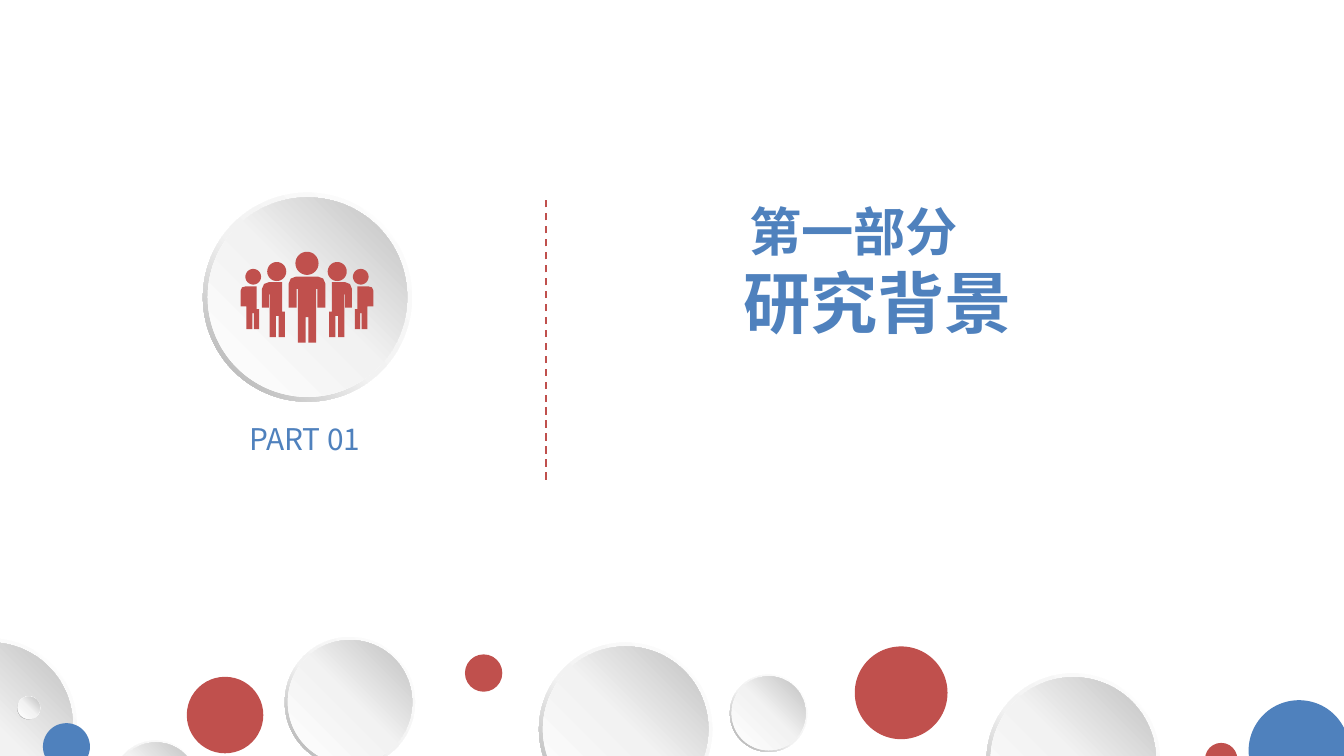
from copy import deepcopy
from dataclasses import dataclass
from math import cos, pi, sin

from pptx import Presentation
from pptx.dml.color import RGBColor
from pptx.enum.dml import MSO_LINE
from pptx.enum.shapes import MSO_CONNECTOR, MSO_SHAPE
from pptx.enum.text import MSO_AUTO_SIZE
from pptx.oxml.ns import qn
from pptx.util import Pt

OVAL, DONUT = MSO_SHAPE.OVAL, MSO_SHAPE.DONUT
STRAIGHT = MSO_CONNECTOR.STRAIGHT
DASH = MSO_LINE.DASH
FIT = MSO_AUTO_SIZE.SHAPE_TO_FIT_TEXT

FONT = "Noto Sans CJK SC"
COLORS = {"blue": "4F81BD", "red": "C0504D", "white": "FFFFFF",
          "pale": "F2F2F2", "silver": "BFBFBF", "gray": "A6A6A6"}
RIM = 0.049      # rim thickness as a share of the diameter
INSET = 0.023    # gap between rim and disc edge, same share


@dataclass
class Bubble:
    left: float
    top: float
    size: float
    color: str = ""  # empty means a silver gradient


@dataclass
class Head:
    dx: float
    y: float
    radius: float


BADGE = Bubble(108.7, 103.2, 112)
BUBBLES = [
    Bubble(288.7, 344.2, 92.9), Bubble(457.9, 346.3, 49.7, "red"),
    Bubble(152.6, 341.3, 69.8), Bubble(668.9, 375.1, 54, "blue"),
    Bubble(60.5, 396.7, 46.1), Bubble(249.1, 350.6, 20, "red"),
    Bubble(391, 361.4, 41.5), Bubble(528.5, 360.7, 92.9),
    Bubble(645.6, 398, 17.3, "red"), Bubble(-51.8, 342, 92.9),
    Bubble(100.1, 362.6, 41, "red"), Bubble(23, 387.4, 25.2, "blue"),
    Bubble(9.2, 373, 12.4),
]

# People icon: x offsets run from the axis of symmetry
AXIS = 164.5
LEADER_HEAD = Head(0, 141.1, 6.2)
SIDE_HEADS = [Head(16.2, 145.5, 5.1), Head(28.8, 148.3, 4.2)]
LEADER_HALF = [(0.7, 169.9), (0.7, 183.6), (4.9, 183.6), (4.9, 154.8),
               (5.6, 154.8), (5.6, 164.9), (9.8, 164.9), (9.8, 151.9),
               (8.7, 149.3), (6.1, 148.3)]
SIDE_BODIES = [
    [(11.9, 167), (11.9, 180.7), (15.2, 180.7), (15.2, 169.2), (16.7, 169.2),
     (16.7, 180.7), (20, 180.7), (20, 157.7), (20.4, 157.7), (20.4, 164.9),
     (24.1, 164.9), (24.1, 154.8), (23, 152.2), (20.5, 151.2), (13.3, 151.2),
     (13.3, 167)],
    [(25.6, 165.6), (25.6, 176.4), (28.5, 176.4), (28.5, 167.8), (29.2, 167.8),
     (29.2, 176.4), (32.4, 176.4), (32.4, 164.2), (35.6, 164.2), (35.6, 155.8),
     (34.8, 154), (32.6, 153.4), (27, 153.4), (27, 165.6)],
]


def rgb(name):
    return RGBColor.from_string(COLORS[name])


def mirror(points):
    return [(-x, y) for x, y in points]


def head_outline(head: Head, steps: int = 32):
    angles = [2 * pi * i / steps for i in range(steps)]
    return [(head.dx + head.radius * cos(a), head.y + head.radius * sin(a))
            for a in angles]


def set_gradient(sp, angle: int, stops):
    sp.fill.gradient()
    sp.fill.gradient_angle = angle
    gs_list = sp._element.spPr.find(qn("a:gradFill")).find(qn("a:gsLst"))
    gs_list.append(deepcopy(gs_list[0]))
    for stop, (position, name) in zip(sp.fill.gradient_stops, stops):
        stop.position = position
        stop.color.rgb = rgb(name)


def add_round(shapes, kind, left: float, top: float, size: float, color: str,
              angle: int, stops):
    sp = shapes.add_shape(kind, Pt(left), Pt(top), Pt(size), Pt(size))
    sp.shadow.inherit = False
    sp.line.fill.background()
    if color:
        sp.fill.solid()
        sp.fill.fore_color.rgb = rgb(color)
    else:
        set_gradient(sp, angle, stops)
    return sp


def add_bubble(slide, b: Bubble):
    group = slide.shapes.add_group_shape()
    rim = add_round(group.shapes, DONUT, b.left, b.top, b.size, b.color, 225,
                    [(0, "white"), (0.55, "pale"), (1, "gray")])
    rim.adjustments[0] = RIM
    gap = b.size * INSET
    add_round(group.shapes, OVAL, b.left + gap, b.top + gap, b.size - 2 * gap,
              b.color, 45, [(0, "white"), (0.51, "pale"), (1, "silver")])
    return group


def add_people(shapes):
    sides = SIDE_BODIES + [head_outline(h) for h in SIDE_HEADS]
    outlines = [head_outline(LEADER_HEAD),
                LEADER_HALF + mirror(LEADER_HALF)[::-1]]
    outlines += sides + [mirror(points) for points in sides]
    builder = None
    for outline in outlines:
        points = [(Pt(AXIS + x), Pt(y)) for x, y in outline]
        if builder is None:
            builder = shapes.build_freeform(*points[0])
        else:
            builder.move_to(*points[0])
        builder.add_line_segments(points[1:], close=True)
    sp = builder.convert_to_shape()
    sp.shadow.inherit = False
    sp.fill.solid()
    sp.fill.fore_color.rgb = rgb("red")
    sp.line.fill.background()


def add_run(p, text: str, *, size: float, bold: bool = False,
            color: str = "blue"):
    r = p.add_run()
    r.text = text
    r.font.size, r.font.bold, r.font.name = Pt(size), bold, FONT
    r.font.color.rgb = rgb(color)
    ea = r.font._element.makeelement(qn("a:ea"), {"typeface": FONT})
    r.font._element.find(qn("a:latin")).addnext(ea)


def add_text_frame(slide, left: float, top: float, width: float, height: float):
    tf = slide.shapes.add_textbox(Pt(left), Pt(top), Pt(width),
                                  Pt(height)).text_frame
    tf.word_wrap = True
    tf.auto_size = FIT
    return tf


prs = Presentation()
prs.slide_width, prs.slide_height = Pt(720), Pt(405)
slide = prs.slides.add_slide(prs.slide_layouts[6])

# Section title
tf = add_text_frame(slide, 391, 103, 190, 85)
p = tf.paragraphs[0]
add_run(p, " ", size=14, bold=True)
add_run(p, "第一部分", size=28, bold=True)
add_run(tf.add_paragraph(), "研究背景", size=36, bold=True)

# Dashed divider
divider = slide.shapes.add_connector(STRAIGHT, Pt(292.5), Pt(257),
                                     Pt(292.5), Pt(106))
divider.line.color.rgb = rgb("red")
divider.line.width = Pt(1)
divider.line.dash_style = DASH
spPr = divider._element.spPr
spPr.append(spPr.makeelement(qn("a:effectLst"), {}))

# Part number
tf = add_text_frame(slide, 133.5, 225.5, 71, 19.5)
tf.margin_left = tf.margin_right = tf.margin_top = tf.margin_bottom = 0
add_run(tf.paragraphs[0], "PART 01", size=16)

# Badge with people icon
add_people(add_bubble(slide, BADGE).shapes)

# Bubbles along the bottom edge
for bubble in BUBBLES:
    add_bubble(slide, bubble)

prs.save("out.pptx")
